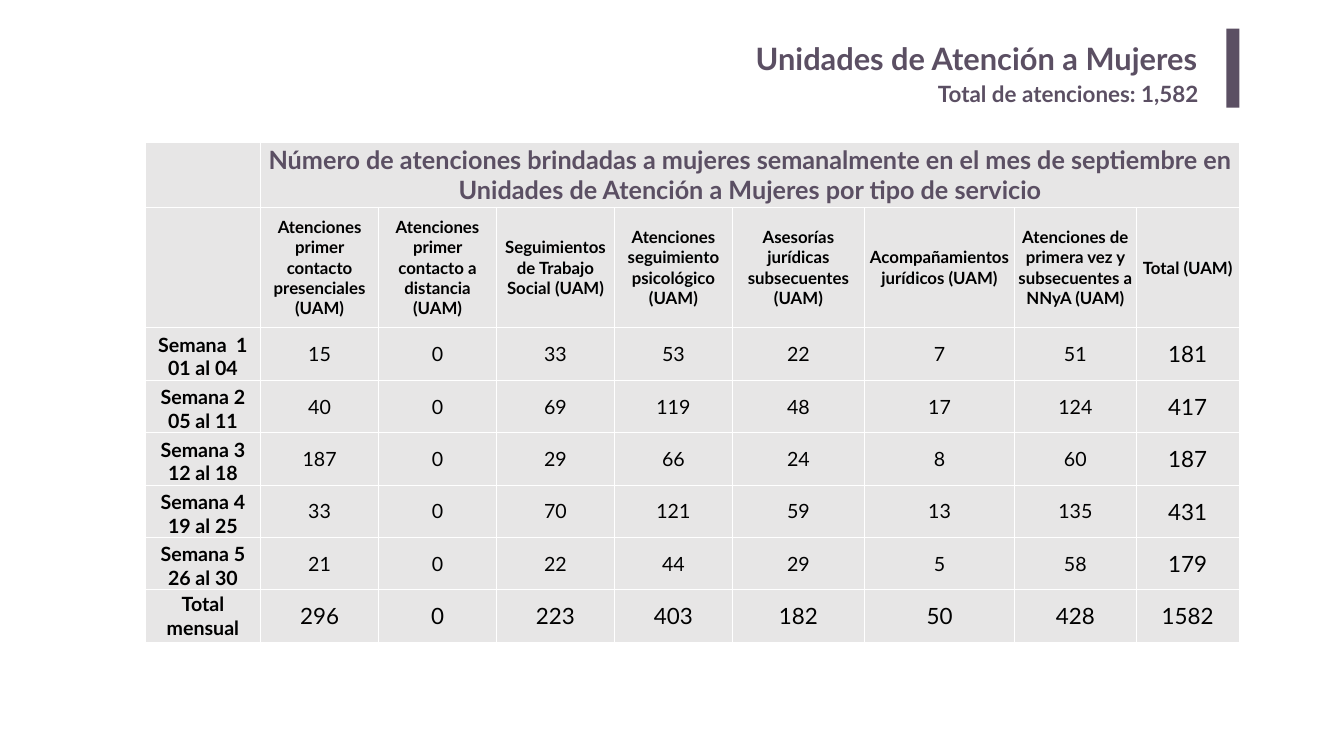
"""Build the weekly table of services given by the women's care units."""
import pptx
import pptx.dml.color
import pptx.enum.shapes
import pptx.enum.text
import pptx.oxml
import pptx.oxml.ns
import pptx.util

Pt = pptx.util.Pt
RGB = pptx.dml.color.RGBColor
ALIGN = pptx.enum.text.PP_ALIGN
ANCHOR = pptx.enum.text.MSO_ANCHOR

PURPLE = RGB(0x5B, 0x4F, 0x63)
BLACK = RGB(0, 0, 0)
GRAY = RGB(0xE7, 0xE6, 0xE6)
WHITE = RGB(0xFF, 0xFF, 0xFF)
FONT = "Lato"

TITLE = "Unidades de Atención a Mujeres"
TOTAL = "Total de atenciones: 1,582"
BANNER = ("Número de atenciones brindadas a mujeres semanalmente en el mes de "
          "septiembre en Unidades de Atención a Mujeres por tipo de servicio")
HEADS = [
    "Atenciones primer contacto presenciales (UAM)",
    "Atenciones primer contacto a distancia (UAM)",
    "Seguimientos de Trabajo Social (UAM)",
    "Atenciones seguimiento psicológico (UAM)",
    "Asesorías jurídicas subsecuentes (UAM)",
    "Acompañamientos jurídicos (UAM)",
    "Atenciones de primera vez y subsecuentes a NNyA (UAM)",
    "Total (UAM)",
]
ROWS = [
    ("Semana  1\n01 al 04", [15, 0, 33, 53, 22, 7, 51, 181]),
    ("Semana 2\n05 al 11", [40, 0, 69, 119, 48, 17, 124, 417]),
    ("Semana 3\n12 al 18", [187, 0, 29, 66, 24, 8, 60, 187]),
    ("Semana 4\n19 al 25", [33, 0, 70, 121, 59, 13, 135, 431]),
    ("Semana 5\n26 al 30", [21, 0, 22, 44, 29, 5, 58, 179]),
    ("Total mensual", [296, 0, 223, 403, 182, 50, 428, 1582]),
]
WIDTHS = [164.9] + [168.5] * 4 + [188.6, 214.6, 173.5, 147.6]
HEIGHTS = [92.9, 172.1] + [74.9] * len(ROWS)


def write(frame, text, size, color=BLACK, bold=True, align=ALIGN.CENTER):
    frame.word_wrap = True
    para = frame.paragraphs[0]
    para.text = text
    para.alignment = align
    para.space_before = Pt(0)
    for run in para.runs:
        font = run.font
        font.name = FONT
        font.size = Pt(size)
        font.bold = bold
        font.color.rgb = color


def inset(box, side, edge):
    box.margin_left = box.margin_right = Pt(side)
    box.margin_top = box.margin_bottom = Pt(edge)


def style(cell):
    props = cell._tc.get_or_add_tcPr()
    for side in ("lnL", "lnR", "lnT", "lnB"):
        props.append(pptx.oxml.parse_xml(
            f'<a:{side} {pptx.oxml.ns.nsdecls("a")} w="{Pt(1)}"><a:solidFill>'
            f'<a:srgbClr val="{WHITE}"/></a:solidFill></a:{side}>'))
    cell.fill.solid()
    cell.fill.fore_color.rgb = GRAY
    cell.vertical_anchor = ANCHOR.MIDDLE
    inset(cell, 0.7, 0.7)
    cell.margin_bottom = Pt(0)


def add_grid(slide):
    frame = slide.shapes.add_table(
        len(HEIGHTS), len(WIDTHS), Pt(207.4), Pt(203),
        Pt(sum(WIDTHS)), Pt(sum(HEIGHTS)))
    table = frame.table
    table.first_row = table.horz_banding = False
    for col, width in zip(table.columns, WIDTHS):
        col.width = Pt(width)
    for row, height in zip(table.rows, HEIGHTS):
        row.height = Pt(height)
    for cell in table.iter_cells():
        style(cell)

    table.cell(0, 1).merge(table.cell(0, len(HEADS)))
    write(table.cell(0, 1).text_frame, BANNER, 36, color=PURPLE)
    for c, head in enumerate(HEADS, 1):
        write(table.cell(1, c).text_frame, head, 24)
    for r, (label, values) in enumerate(ROWS, 2):
        last = r == len(HEIGHTS) - 1
        name = table.cell(r, 0)
        name.vertical_anchor = ANCHOR.MIDDLE if last else ANCHOR.BOTTOM
        write(name.text_frame, label, 28)
        for c, value in enumerate(values, 1):
            size = 32 if last or c == len(HEADS) else 28
            write(table.cell(r, c).text_frame, str(value), size, bold=False)


def main():
    deck = pptx.Presentation()
    deck.slide_width, deck.slide_height = Pt(1920), Pt(1080)
    slide = deck.slides.add_slide(deck.slide_layouts[5])

    bar = slide.shapes.add_shape(
        pptx.enum.shapes.MSO_SHAPE.RECTANGLE,
        Pt(1751.8), Pt(41), Pt(18.7), Pt(113))
    bar.shadow.inherit = False
    bar.fill.solid()
    bar.fill.fore_color.rgb = PURPLE
    bar.line.fill.background()

    add_grid(slide)

    title = slide.shapes.title
    title.left, title.top = Pt(263.5), Pt(46)
    title.width, title.height = Pt(1461.6), Pt(73.4)
    frame = title.text_frame
    frame.auto_size = pptx.enum.text.MSO_AUTO_SIZE.NONE
    frame.vertical_anchor = ANCHOR.MIDDLE
    inset(frame, 14.4, 7.2)
    write(frame, TITLE, 44, color=PURPLE, align=ALIGN.RIGHT)

    note = slide.shapes.add_textbox(Pt(1332.7), Pt(110.2), Pt(396.7), Pt(46))
    inset(note.text_frame, 7.2, 3.6)
    write(note.text_frame, TOTAL, 32, color=PURPLE, align=ALIGN.LEFT)

    deck.save("out.pptx")


if __name__ == "__main__":
    main()
